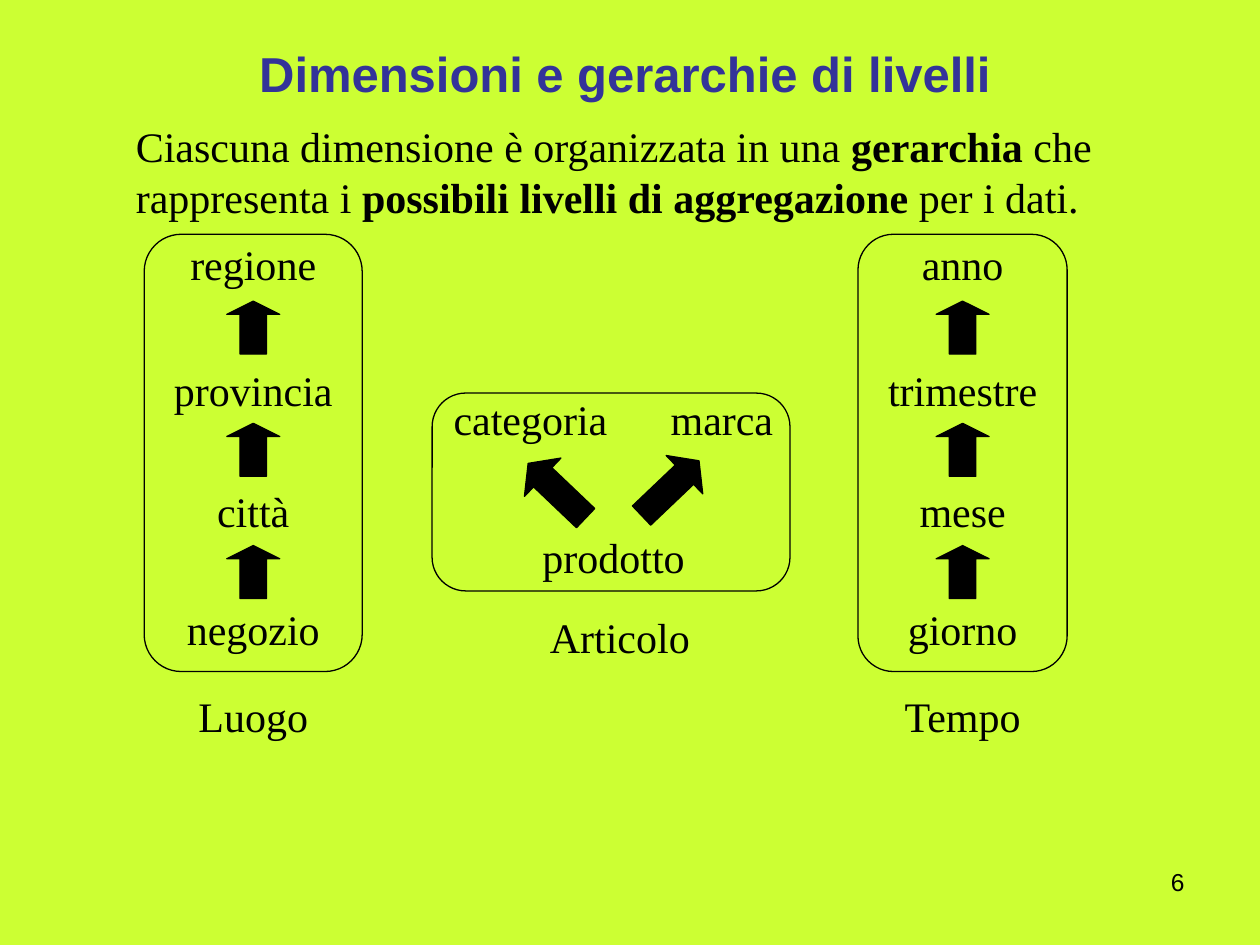
from pptx import Presentation
from pptx.dml.color import RGBColor
from pptx.enum.shapes import MSO_SHAPE
from pptx.enum.text import MSO_ANCHOR, MSO_AUTO_SIZE, PP_ALIGN
from pptx.util import Inches, Pt

ROUND, ARROW = MSO_SHAPE.ROUNDED_RECTANGLE, MSO_SHAPE.UP_ARROW
LEFT, CENTER, RIGHT = PP_ALIGN.LEFT, PP_ALIGN.CENTER, PP_ALIGN.RIGHT
TOP, MIDDLE = MSO_ANCHOR.TOP, MSO_ANCHOR.MIDDLE
FIXED, GROW = MSO_AUTO_SIZE.NONE, MSO_AUTO_SIZE.SHAPE_TO_FIT_TEXT

COLORS = {"back": "CCFF33", "title": "333399", "ink": "000000"}
HEAD = {"name": "Arial", "size": Pt(28), "bold": True}
BODY = {"name": "Times New Roman", "size": Pt(24), "bold": False}
PAGE = {"name": "Arial", "size": Pt(14), "bold": False}

TITLE = "Dimensioni e gerarchie di livelli"
INTRO = [
    ("Ciascuna dimensione è organizzata in una", False),
    (" gerarchia", True),
    (" che rappresenta i ", False),
    ("possibili livelli di aggregazione", True),
    (" per i dati.", False),
]
CHAINS = [
    {"mid": 2.01, "width": 1.73, "name": ("Luogo", 0.9),
     "levels": [("regione", 1.02), ("provincia", 1.28),
                ("città", 0.6), ("negozio", 1.08)]},
    {"mid": 7.64, "width": 1.66, "name": ("Tempo", 0.96),
     "levels": [("anno", 0.67), ("trimestre", 1.21),
                ("mese", 0.71), ("giorno", 0.89)]},
]
LEVEL_TOPS = [1.89, 2.89, 3.85, 4.79]
ARROW_TOP, ARROW_STEP, ARROW_SIZE = 2.39, 0.97, 0.42
ITEMS = [
    ("categoria", 4.21, 3.12, 1.25),
    ("marca", 5.73, 3.12, 0.84),
    ("prodotto", 4.87, 4.22, 1.15),
    ("Articolo", 4.92, 4.85, 1.14),
]
SLANTS = [(4.21, 3.58, -46.4), (5.11, 3.56, 46.4)]


def color(key):
    return RGBColor.from_string(COLORS[key])


def add_text(box, runs, form, ink="ink", align=LEFT, anchor=TOP,
             pad=(0.1, 0.05), wrap=True, fit=FIXED):
    frame = slide.shapes.add_textbox(*map(Inches, box)).text_frame
    setup = {
        "word_wrap": wrap, "auto_size": fit, "vertical_anchor": anchor,
        "margin_left": Inches(pad[0]), "margin_right": Inches(pad[0]),
        "margin_top": Inches(pad[1]), "margin_bottom": Inches(pad[1]),
    }
    for key, value in setup.items():
        setattr(frame, key, value)
    para = frame.paragraphs[0]
    para.alignment = align
    for text, bold in runs:
        run = para.add_run()
        run.text = text
        for key, value in {**form, "bold": bold}.items():
            setattr(run.font, key, value)
        run.font.color.rgb = color(ink)


def add_label(text, mid, top, width):
    add_text((mid - width / 2, top, width, 0.4), [(text, False)], BODY,
             align=CENTER, pad=(0, 0), wrap=False, fit=GROW)


def add_form(kind, box, adjust, filled=False, turn=0):
    shape = slide.shapes.add_shape(kind, *map(Inches, box))
    shape.shadow.inherit = False
    for i, value in enumerate(adjust):
        shape.adjustments[i] = value
    if filled:
        shape.fill.solid()
        shape.fill.fore_color.rgb = color("ink")
    else:
        shape.fill.background()
    shape.line.color.rgb = color("ink")
    shape.line.width = Pt(0.75)
    shape.rotation = turn


deck = Presentation()
deck.slide_width, deck.slide_height = Inches(10), Inches(7.5)
slide = deck.slides.add_slide(deck.slide_layouts[6])
slide.background.fill.solid()
slide.background.fill.fore_color.rgb = color("back")

add_text((0.59, 0, 8.74, 1.15), [(TITLE, True)], HEAD, "title", CENTER, MIDDLE)
add_text((0.98, 0.91, 8.19, 0.9), INTRO, BODY, fit=GROW)

for chain in CHAINS:
    mid, width = chain["mid"], chain["width"]
    add_form(ROUND, (mid - width / 2, 1.86, width, 3.47), [0.17])
    for (text, wide), top in zip(chain["levels"], LEVEL_TOPS):
        add_label(text, mid, top, wide)
    for i in range(len(LEVEL_TOPS) - 1):
        add_form(ARROW, (mid - ARROW_SIZE / 2, ARROW_TOP + i * ARROW_STEP,
                         ARROW_SIZE, ARROW_SIZE), [0.5, 0.25], True)
    text, wide = chain["name"]
    add_label(text, mid, 5.48, wide)

add_form(ROUND, (3.43, 3.12, 2.84, 1.57), [0.17])
for item in ITEMS:
    add_label(*item)
for left, top, turn in SLANTS:
    add_form(ARROW, (left, top, ARROW_SIZE, 0.63), [0.5, 0.38], True, turn)

add_text((7.17, 6.83, 2.33, 0.52), [("6", False)], PAGE, align=RIGHT)

deck.save("out.pptx")
